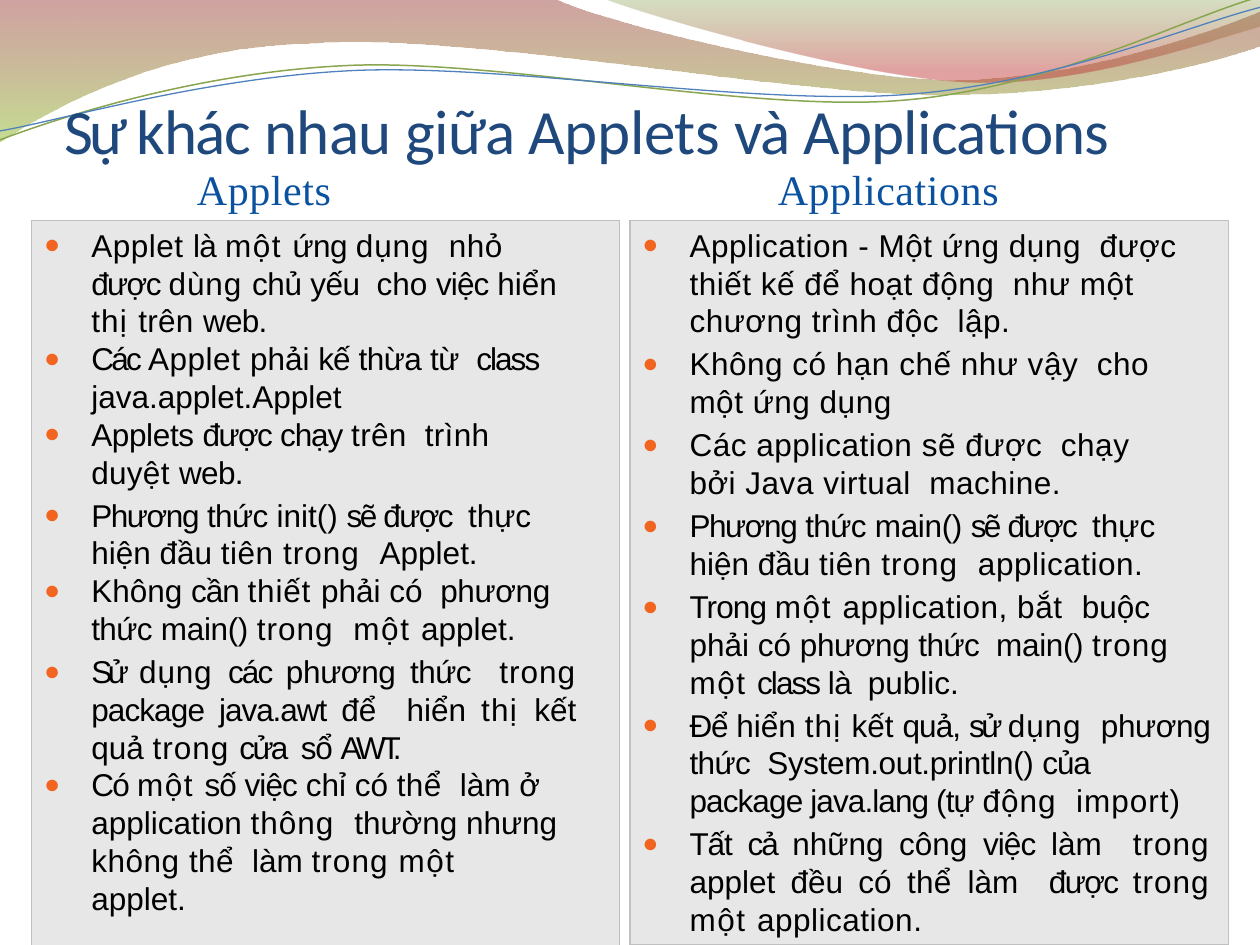
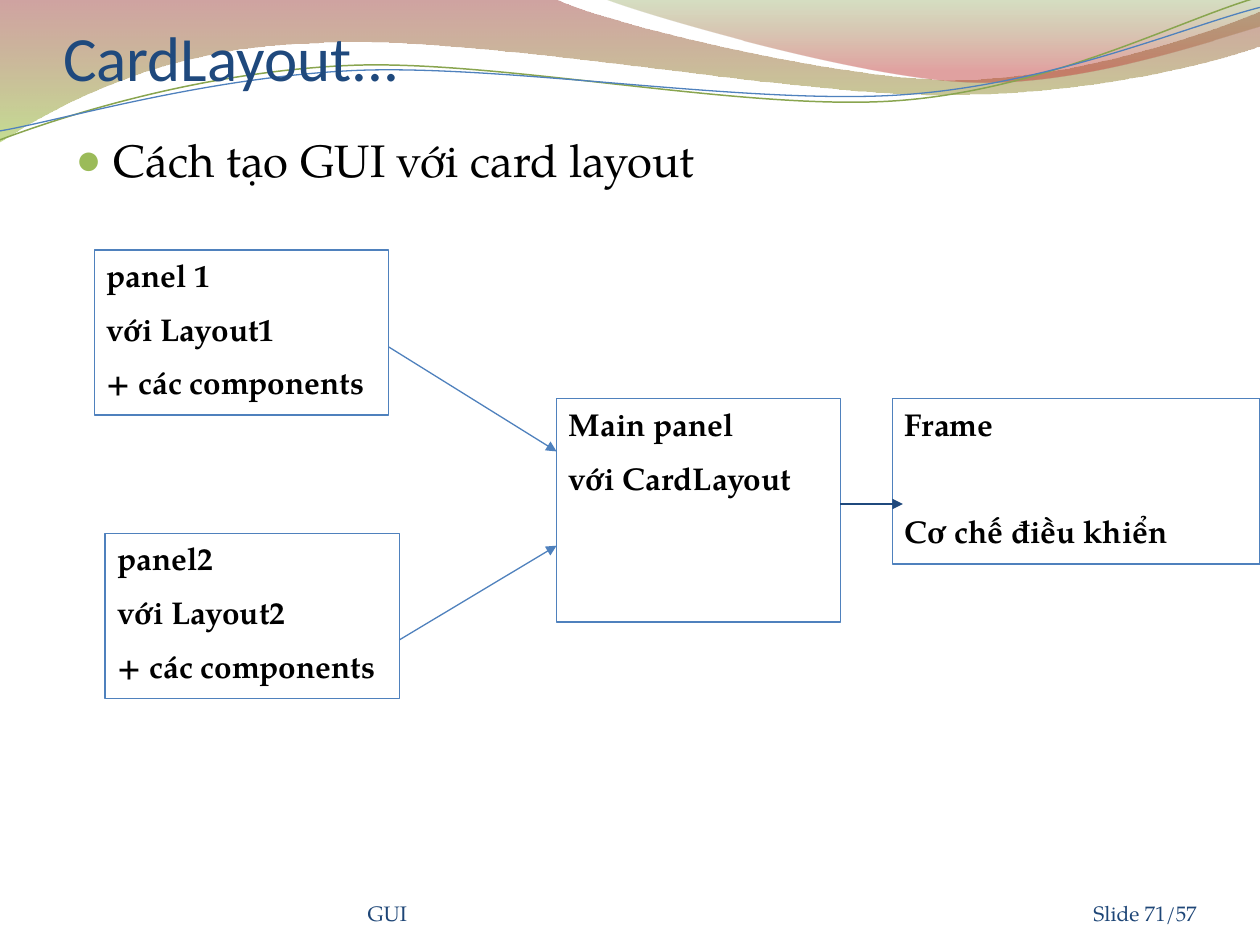
from typing import NamedTuple

from lxml.etree import SubElement
from pptx import Presentation
from pptx.dml.color import RGBColor
from pptx.enum.shapes import MSO_CONNECTOR as Connector, MSO_SHAPE as Shape
from pptx.enum.text import MSO_ANCHOR as Anchor, MSO_AUTO_SIZE as AutoSize, PP_ALIGN as Align
from pptx.oxml.ns import qn
from pptx.util import Cm, Pt


class Bullet(NamedTuple):
    """One list item: text, space before (pt), right margin (cm), alignment, even spacing."""
    text: str
    before: float = 3
    right: float = 1.2
    align: Align = Align.LEFT
    spacing: float = None


NAVY, BLUE, GREEN, BLACK, WHITE = "1F497D", "4F81BD", "89A54F", "000000", "FFFFFF"
HEADING_BLUE, FOOTER_BLUE = "0A52A0", "1E4677"
PANEL_FILL, PANEL_LINE = "E7E7E7", "C0C0C0"
ORANGE_DOT, GREEN_DOT = "F16521", "9BBB59"
SANS, TITLE_FONT, SERIF, HEADING_FONT = "Arial", "Calibri", "TeX Gyre Pagella", "Times New Roman"

BANDS = [
    {"start": (0, 0), "segments": [
        [(11.18, -0.03)],
        [(12.09, 0.43), (16.87, 1.6), (19.25, 1.6)],
        [(21.67, 1.6), (24.33, 0.66), (25.4, 0.23)],
        [(25.43, 0.91)],
        [(24.97, 1.12), (22.1, 1.93), (18.95, 1.91)],
        [(15.8, 1.91), (9.7, 0.71), (6.53, 0.86)],
        [(3.28, 0.91), (1.17, 2.11), (-0.03, 2.87)],
        [(0, 0)]],
     "stops": [(0, "973330", 45), (1, "95C238", 55)]},
    {"start": (12.17, -0.03), "segments": [
        [(12.93, 0.28), (17.32, 1.57), (19.53, 1.65)],
        [(21.74, 1.75), (24.41, 0.81), (25.4, 0.53)],
        [(25.4, 0)],
        [(12.17, -0.03)]],
     "stops": [(0, "769537", 30), (0.8, "BE3330", 45)]},
    {"start": (0, 2.82), "segments": [
        [(1.22, 2.36), (4.01, 1.45), (7.04, 1.32)],
        [(10.03, 1.19), (15.06, 2.26), (18.11, 2.03)],
        [(21.16, 1.8), (23.83, 0.38), (25.35, -0.05)]],
     "line": (GREEN, 0.85)},
    {"start": (0, 2.64), "segments": [
        [(1.19, 2.44), (4.17, 1.55), (7.19, 1.42)],
        [(10.24, 1.3), (15.16, 2.13), (18.21, 1.91)],
        [(21.23, 1.7), (23.9, 0.53), (25.4, 0.15)]],
     "line": (BLUE, 0.75)},
]

TRACKING = {
    -2.5: "Sự Sử AWT.", -1.9: "sử", -1.5: "Các sẽ cửa ở", -1.1: "class các cả",
    -0.9: "được Có", -0.8: "khác và Phương", -0.6: "cần Để Tất số sổ chạy java.awt của",
    -0.5: "kế việc giữa package quả, java.lang (tự Trong", -0.4: "là web. Applications",
    -0.3: "ứng yếu thừa thức nhau", -0.2: "chủ từ phương main() Applets System.out.println()",
    0.2: "trên thể trình duyệt", 0.3: "Applet nhỏ tiên không application, bắt application.",
    0.5: "dụng dùng thiết", 0.6: "trong thông động import)", 0.7: "thị", 0.9: "một",
}
WORD_SPACING = {word: value for value, words in TRACKING.items() for word in words.split()}

COMPARE_TITLE = "Sự khác nhau giữa Applets và Applications"
HEADINGS, HEADING_TAB = "Applets\tApplications", 11.71
COLUMNS = [
    ((0.64, 4.45, 11.85, 14.94), [
        Bullet("Applet là một ứng dụng  nhỏ được dùng chủ yếu  cho việc hiển thị trên web."),
        Bullet("Các Applet phải kế thừa từ  class java.applet.Applet", 0),
        Bullet("Applets được chạy trên  trình duyệt web.", 0),
        Bullet("Phương thức init() sẽ được  thực hiện đầu tiên trong  Applet."),
        Bullet("Không cần thiết phải có  phương thức main() trong  một applet.", 0),
        Bullet("Sử dụng các phương thức  trong package java.awt để  hiển thị kết quả "
               "trong cửa  sổ AWT.", 3, 0.87, Align.JUSTIFY),
        Bullet("Có một số việc chỉ có thể  làm ở application thông  thường nhưng "
               "không thể  làm trong một applet.", 0)]),
    ((12.7, 4.45, 12.07, 14.6), [
        Bullet("Application - Một ứng dụng  được thiết kế để hoạt động  như một "
               "chương trình độc  lập.", right=0.95, spacing=0.3),
        Bullet("Không có hạn chế như vậy  cho một ứng dụng", right=0.95, spacing=0.3),
        Bullet("Các application sẽ được  chạy bởi Java virtual  machine.",
               right=0.95, spacing=0.3),
        Bullet("Phương thức main() sẽ được  thực hiện đầu tiên trong  application.", right=0.95),
        Bullet("Trong một application, bắt  buộc phải có phương thức  main() trong "
               "một class là  public.", right=0.95),
        Bullet("Để hiển thị kết quả, sử dụng  phương thức  System.out.println() của  "
               "package java.lang (tự động  import)", right=0.25),
        Bullet("Tất cả những công việc làm  trong applet đều có thể làm  được trong "
               "một application.", 3, 0.38, Align.JUSTIFY)]),
]

CARD_TITLE = "CardLayout..."
CARD_LEAD = "Cách tạo GUI với card layout"
FRAME_GAP = 39.4
PANELS = [
    ((17.99, 8.04, 7.41, 3.33), ["Frame", "Cơ chế điều khiển"], FRAME_GAP),
    ((11.22, 8.04, 5.72, 4.5), ["Main panel", "với CardLayout"], None),
    ((1.9, 5.04, 5.93, 3.33), ["panel 1", "với Layout1", "+ các components"], None),
    ((2.12, 10.75, 5.93, 3.33), ["panel2", "với Layout2", "+ các components"], None),
]
ARROWS = [
    ((7.83, 6.99, 11.22, 9.1), BLUE),
    ((8.05, 12.9, 11.22, 11), BLUE),
    ((16.94, 10.16, 18.2, 10.16), NAVY),
]
FOOTERS = [
    ("GUI", (7.41, 17.65, 9.32, 1.02), Align.LEFT),
    ("Slide 71/57", (22.02, 17.65, 2.11, 1.02), Align.RIGHT),
]


def color(code):
    """Turn a hex string into a colour."""
    return RGBColor.from_string(code)


def lengths(values):
    """Turn centimetre numbers into lengths."""
    return [Cm(value) for value in values]


def place(box, at):
    """Move and size a placeholder."""
    box.left, box.top, box.width, box.height = lengths(at)


def paint(box, fill, line):
    """Give a box a solid fill and a thin outline."""
    box.fill.solid()
    box.fill.fore_color.rgb = color(fill)
    box.line.color.rgb = color(line)
    box.line.width = Pt(0.75)


def set_frame(box, anchor, insets=None):
    """Fix the wrapping, anchor and insets of a text frame and return it."""
    frame = box.text_frame
    frame.word_wrap, frame.auto_size, frame.vertical_anchor = True, AutoSize.NONE, anchor
    if insets:
        (frame.margin_left, frame.margin_top,
         frame.margin_right, frame.margin_bottom) = lengths(insets)
    return frame


def set_font(para, name, size, code, bold=False):
    """Set the font of a whole paragraph."""
    font = para.font
    font.name, font.size, font.bold = name, Pt(size), bold
    font.color.rgb = color(code)


def add_words(para, text, spacing=None):
    """Add text with even letter spacing, or in spans that follow each word's own."""
    spans = []
    for word in text.split(" "):
        value = WORD_SPACING.get(word, 0) if spacing is None else spacing
        if spans and (not word or value == spans[-1][0]):
            spans[-1][1] += " " + word
            continue
        if spans:
            spans[-1][1] += " "
        spans.append([value, word])
    for value, words in spans:
        span = para.add_run()
        span.text = words
        if value:
            span.font._element.set("spc", str(round(value * 100)))


def add_bullet(para, code, percent, indent, right=0):
    """Give a paragraph a coloured dot and a hanging indent."""
    props = para._p.get_or_add_pPr()
    left, hang = lengths(indent)
    props.set("marL", str(left))
    props.set("indent", str(-hang))
    props.set("marR", str(Cm(right)))
    SubElement(SubElement(props, qn("a:buClr")), qn("a:srgbClr"), val=code)
    SubElement(props, qn("a:buSzPct"), val=str(percent * 1000))
    SubElement(props, qn("a:buFont"), typeface="Arial")
    SubElement(props, qn("a:buChar"), char="●")


def bend(wave, segments):
    """Join every three straight steps of a curved segment into one cubic curve."""
    steps = iter(list(wave.element.iter(qn("a:lnTo"))))
    for segment in segments:
        first, *others = [next(steps) for _ in segment]
        if others:
            first.tag = qn("a:cubicBezTo")
        for step in others:
            first.append(step[0])
            step.getparent().remove(step)


def add_bands(deck, page):
    """Draw the waves and hand them to the slide master."""
    for layer, band in enumerate(BANDS):
        points = [lengths(point) for segment in band["segments"] for point in segment]
        builder = page.shapes.build_freeform(*lengths(band["start"]))
        builder.add_line_segments(points, close="stops" in band)
        wave = builder.convert_to_shape()
        bend(wave, band["segments"])
        wave.shadow.inherit = False
        if "stops" in band:
            wave.line.fill.background()
            wave.fill.gradient()
            wave.fill.gradient_angle = 270
            for stop, (position, code, _) in zip(wave.fill.gradient_stops, band["stops"]):
                stop.position, stop.color.rgb = position, color(code)
            nodes = list(wave.element.iter(qn("a:srgbClr")))
            for node, (_, _, opacity) in zip(nodes, band["stops"]):
                SubElement(node, qn("a:alpha"), val=str(opacity * 1000))
        else:
            code, width = band["line"]
            wave.fill.background()
            wave.line.color.rgb, wave.line.width = color(code), Pt(width)
        deck.slide_master.shapes.element.insert(2 + layer, wave.element)


def add_title(page, text, at, insets, spacing=None):
    """Fill the title placeholder in the shared style."""
    title = page.shapes.title
    place(title, at)
    para = set_frame(title, Anchor.BOTTOM, insets).paragraphs[0]
    para.alignment = Align.LEFT
    add_words(para, text, spacing)
    set_font(para, TITLE_FONT, 36, NAVY)


def add_label(page, text, at, anchor, font, align=Align.LEFT, spacing=0):
    """Add a one-line text box without insets and return its paragraph."""
    box = page.shapes.add_textbox(*lengths(at))
    para = set_frame(box, anchor, (0, 0, 0, 0)).paragraphs[0]
    para.alignment = align
    add_words(para, text, spacing)
    set_font(para, *font)
    return para


def add_column(holder, at, items):
    """Fill one list placeholder."""
    place(holder, at)
    paint(holder, PANEL_FILL, PANEL_LINE)
    frame = set_frame(holder, Anchor.TOP, (0, 0.1, 0, 0))
    for number, item in enumerate(items):
        para = frame.add_paragraph() if number else frame.paragraphs[0]
        para.alignment = item.align
        para.line_spacing, para.space_before = Pt(21.6), Pt(item.before)
        add_bullet(para, ORANGE_DOT, 85, (1.2, 0.95), item.right)
        add_words(para, item.text, item.spacing)
        set_font(para, SANS, 18, BLACK)


def add_panel(page, at, lines, gap):
    """Draw an outlined box holding bold lines."""
    box = page.shapes.add_shape(Shape.RECTANGLE, *lengths(at))
    box.shadow.inherit = False
    paint(box, WHITE, BLUE)
    frame = set_frame(box, Anchor.TOP)
    for number, line in enumerate(lines):
        para = frame.add_paragraph() if number else frame.paragraphs[0]
        para.text, para.alignment = line, Align.LEFT
        para.space_before = Pt(gap or 9)
        if not (gap and number):
            before = para._p.pPr.find(qn("a:spcBef"))
            before.clear()
            SubElement(before, qn("a:spcPct"), val="50000")
        set_font(para, SERIF, 18, BLACK, True)


def add_arrow(page, ends, code):
    """Draw a straight arrow."""
    arrow = page.shapes.add_connector(Connector.STRAIGHT, *lengths(ends))
    arrow.line.color.rgb, arrow.line.width = color(code), Pt(0.75)
    SubElement(arrow.element.find(".//" + qn("a:ln")), qn("a:tailEnd"), type="triangle")
    SubElement(arrow.element.spPr, qn("a:effectLst"))


def build_comparison(deck):
    """Build the slide that compares applets and applications."""
    page = deck.slides.add_slide(deck.slide_layouts[3])
    add_bands(deck, page)
    add_title(page, COMPARE_TITLE, (1.3, 1.8, 22.61, 1.57), (0, 0.03, 0, 0))
    for holder, (at, items) in zip(list(page.placeholders)[1:], COLUMNS):
        add_column(holder, at, items)
    heading = add_label(page, HEADINGS, (3.97, 3.3, 17.12, 1.07), Anchor.TOP,
                        (HEADING_FONT, 24, HEADING_BLUE), spacing=0.35)
    props = heading._p.pPr
    tabs = SubElement(props, qn("a:tabLst"))
    SubElement(tabs, qn("a:tab"), pos=str(Cm(HEADING_TAB)), algn="l")
    props.append(props.find(qn("a:defRPr")))


def build_card_layout(deck):
    """Build the slide with the card layout diagram."""
    page = deck.slides.add_slide(deck.slide_layouts[1])
    add_title(page, CARD_TITLE, (1.27, 0.76, 22.86, 1.14), (0, 0.13, 0, 0), 0)
    body = page.placeholders[1]
    place(body, (1.27, 2.54, 22.86, 1.7))
    para = set_frame(body, Anchor.TOP).paragraphs[0]
    para.text = CARD_LEAD
    add_bullet(para, GREEN_DOT, 95, (0.76, 0.76))
    set_font(para, SERIF, 26, BLACK)
    for at, lines, gap in PANELS:
        add_panel(page, at, lines, gap)
    for ends, code in ARROWS:
        add_arrow(page, ends, code)
    for text, at, align in FOOTERS:
        add_label(page, text, at, Anchor.BOTTOM, (SERIF, 12, FOOTER_BLUE), align)


def main():
    """Build and save the deck."""
    deck = Presentation()
    deck.slide_width, deck.slide_height = Cm(25.4), Cm(19.05)
    build_comparison(deck)
    build_card_layout(deck)
    deck.save("out.pptx")


if __name__ == "__main__":
    main()
